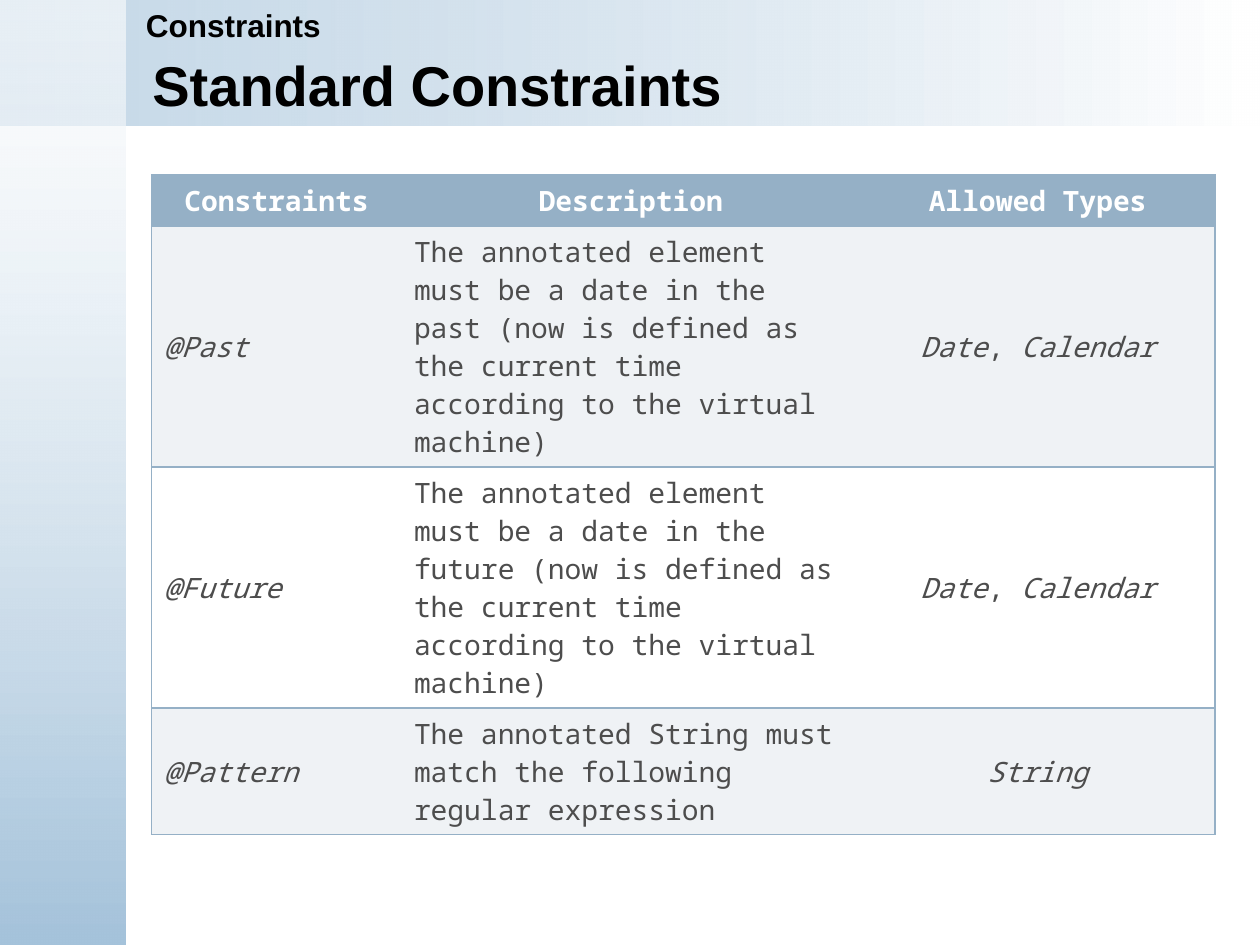
from pptx import Presentation
from pptx.dml.color import RGBColor
from pptx.enum.shapes import MSO_SHAPE as Shape
from pptx.enum.text import MSO_ANCHOR as Anchor, MSO_AUTO_SIZE as AutoSize, PP_ALIGN as Align
from pptx.oxml.ns import qn
from pptx.util import Pt
from lxml.etree import SubElement

MONO, SANS = "Noto Sans Mono", "Arial"
BLUE, STEEL, PALE, WHITE, GREY = "A5C3DB", "95B0C6", "EFF2F5", "FFFFFF", "4D4D4D"
PAGE_W, PAGE_H = 720, 540
HEADINGS = ["Constraints", "Description", "Allowed Types"]
DATE_RULE = ("The annotated element must be a date in the {} (now is defined as "
             "the current time according to the virtual machine)")
CONSTRAINTS = [
    ("@Past", DATE_RULE.format("past"), ["Date", "Calendar"]),
    ("@Future", DATE_RULE.format("future"), ["Date", "Calendar"]),
    ("@Pattern", "The annotated String must match the following regular expression",
     ["String"]),
]


def color(value):
    return RGBColor.from_string(value)


def add_text(para, text, size=16, font=MONO, fill=GREY, bold=False, italic=False):
    span = para.add_run()
    span.text = text
    span.font.size, span.font.name = Pt(size), font
    span.font.bold, span.font.italic = bold, italic
    span.font.color.rgb = color(fill)


def place(box, left, top, width, height):
    box.left, box.top, box.width, box.height = Pt(left), Pt(top), Pt(width), Pt(height)


# Background bands
def add_band(page, left, top, width, height, start, end, opacity, angle):
    band = page.shapes.add_shape(Shape.RECTANGLE, Pt(left), Pt(top), Pt(width), Pt(height))
    band.shadow.inherit = False
    band.line.fill.background()
    band.fill.gradient()
    band.fill.gradient_angle = angle
    for stop, value in zip(band.fill.gradient_stops, (start, end)):
        stop.color.rgb = color(value)
    first = next(band._element.spPr.iter(qn("a:srgbClr")))
    SubElement(first, qn("a:alpha"), val=str(opacity * 1000))


# Section label and slide title
def add_heading(page, left, top, section, title):
    label = page.shapes.add_textbox(Pt(left), Pt(top), Pt(PAGE_W - left), Pt(28.8))
    label.text_frame.word_wrap = True
    add_text(label.text_frame.paragraphs[0], section, 18, SANS, "000000", bold=True)

    box = page.shapes.title
    place(box, left + 3.6, top + 15.1, 608.4, 66.2)
    page.shapes._spTree.append(box._element)
    frame = box.text_frame
    frame.auto_size, frame.vertical_anchor = AutoSize.NONE, Anchor.MIDDLE
    frame.paragraphs[0].alignment = Align.LEFT
    add_text(frame.paragraphs[0], title, 32, SANS, "000000", bold=True)


# Constraint table
def set_borders(cell, sides):
    props = cell._tc.get_or_add_tcPr()
    for index, side in enumerate("LRTB"):
        line = SubElement(props, qn("a:ln" + side), w=str(Pt(1)))
        props.insert(index, line)
        if side in sides:
            SubElement(SubElement(line, qn("a:solidFill")), qn("a:srgbClr"), val=STEEL)
        else:
            SubElement(line, qn("a:noFill"))


def fill_cell(cell, spans, fill, align, anchor):
    cell.fill.solid()
    cell.fill.fore_color.rgb = color(fill)
    cell.vertical_anchor = anchor
    para = cell.text_frame.paragraphs[0]
    para.alignment = align
    for text, style in spans:
        add_text(para, text, **style)


def type_spans(names):
    spans = []
    for name in names:
        if spans:
            spans.append((", ", {}))
        spans.append((name, {"italic": True}))
    return spans


def add_constraint_table(page, left, top, widths, row_height, height):
    rows = len(CONSTRAINTS) + 1
    holder = page.shapes.add_table(rows, len(widths), Pt(left), Pt(top),
                                   Pt(sum(widths)), Pt(height))
    table = holder.table
    table.first_row = table.horz_banding = False
    for column, width in zip(table.columns, widths):
        column.width = Pt(width)
    for row in table.rows:
        row.height = Pt(row_height)
    holder.height = Pt(height)

    for col, heading in enumerate(HEADINGS):
        fill_cell(table.cell(0, col), [(heading, {"fill": WHITE, "bold": True})],
                  STEEL, Align.CENTER, Anchor.TOP)
    for row, (name, rule, types) in enumerate(CONSTRAINTS, 1):
        fill = PALE if row % 2 else WHITE
        contents = [[(name, {"italic": True})], [(rule, {})], type_spans(types)]
        for col, spans in enumerate(contents):
            align = Align.CENTER if col == 2 else Align.LEFT
            fill_cell(table.cell(row, col), spans, fill, align, Anchor.MIDDLE)
    for row in range(rows):
        for col, sides in enumerate(("LTB", "TB", "RTB")):
            set_borders(table.cell(row, col), sides)


deck = Presentation()
deck.slide_width, deck.slide_height = Pt(PAGE_W), Pt(PAGE_H)
page = deck.slides.add_slide(deck.slide_layouts[5])
add_band(page, 0, 0, PAGE_W, 72, BLUE, WHITE, opacity=62, angle=0)
add_band(page, 0, 0, 72, PAGE_H, WHITE, BLUE, opacity=59, angle=270)
add_constraint_table(page, 86.6, 100, [142.8, 262.3, 202.6], 29.5, 332)
add_heading(page, 76.3, 0, "Constraints", "Standard Constraints")
deck.save("out.pptx")
